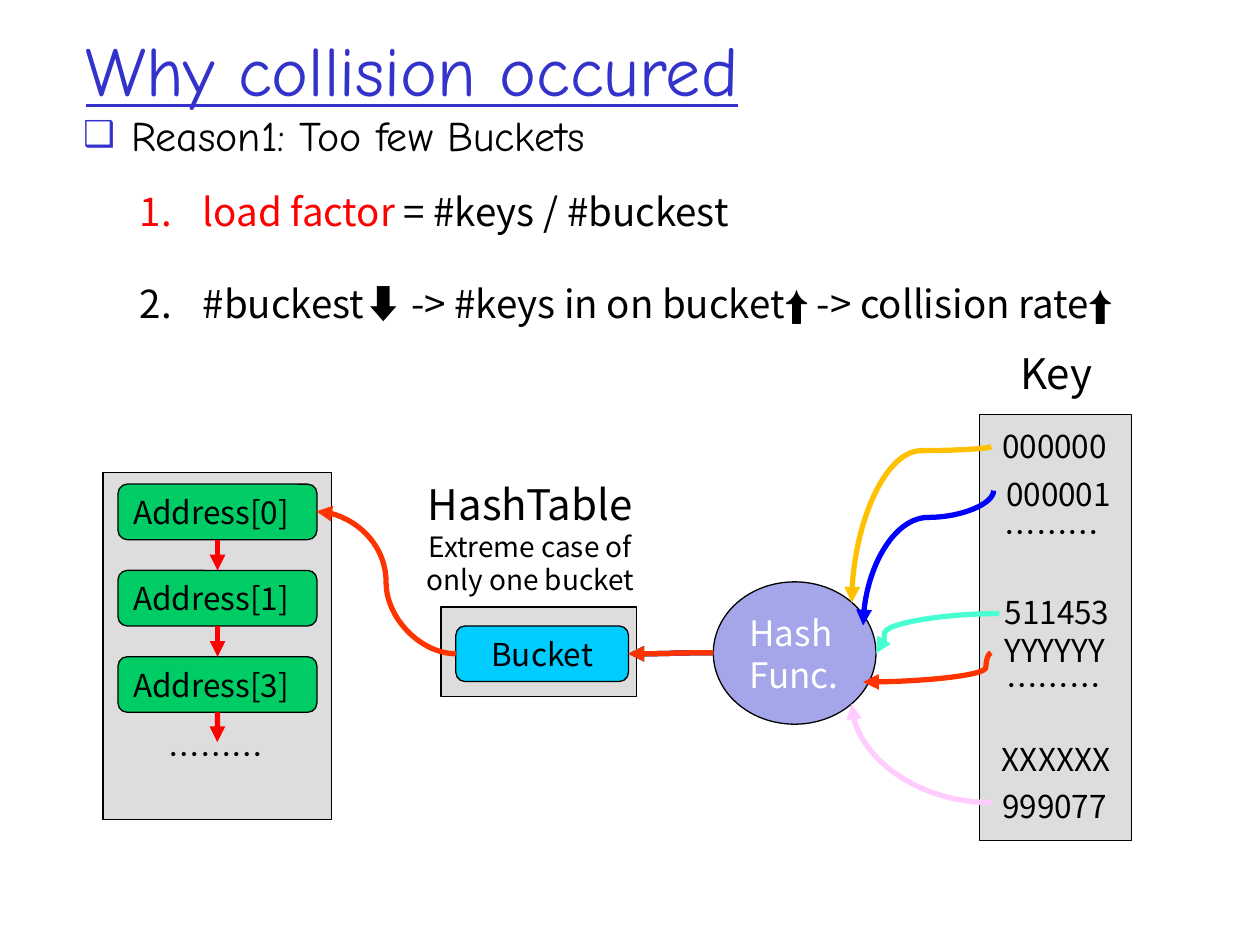
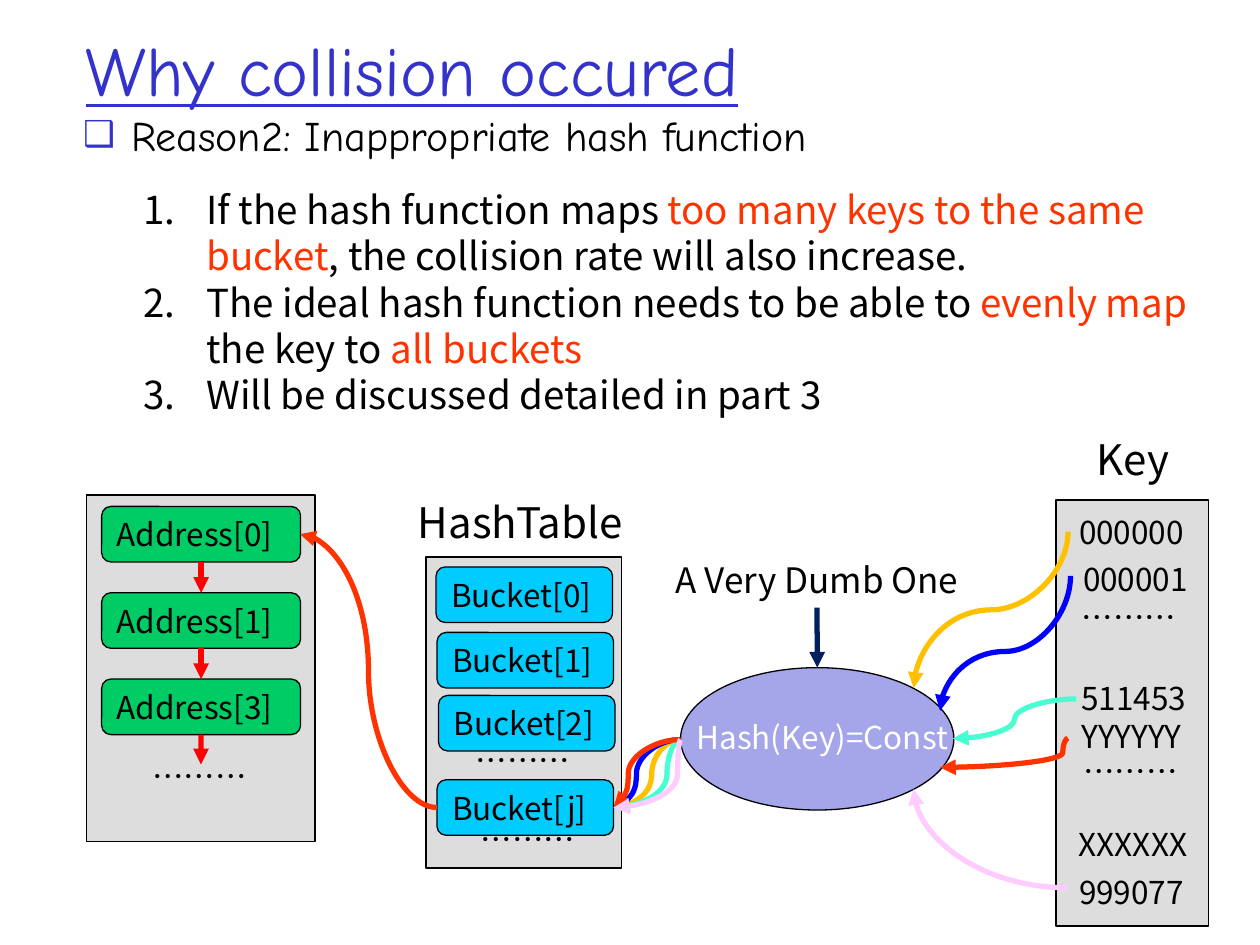
from lxml.etree import SubElement
from pptx import Presentation
from pptx.dml.color import RGBColor
from pptx.enum.shapes import MSO_CONNECTOR, MSO_SHAPE
from pptx.enum.text import MSO_ANCHOR, MSO_AUTO_SIZE, PP_ALIGN
from pptx.oxml.ns import qn
from pptx.util import Cm, Pt

# Shared fonts and colours
TITLE_FONT = "Comic Neue"
TEXT_FONT = "Noto Sans CJK JP"
TITLE_BLUE = "3333CC"
BLACK = "000000"
WHITE = "FFFFFF"
PANEL_GREY = "DDDDDD"
BUCKET_BLUE = "00CCFF"
ADDRESS_GREEN = "00CC66"
HASH_PURPLE = "A5A5E9"
RED = "FF0000"
NAVY = "002060"
YELLOW, PINK, CYAN, BLUE, ORANGE = "FFC000", "FFCCFF", "47FFD1", "0000FF", "FF3300"
LABEL_WIDTH = 5.74
LABEL_HEIGHT = 1.02


def add_text(slide, text, box, shape_type=None, holder=None, fill=None, size=18,
             color=BLACK, font=TEXT_FONT, align=PP_ALIGN.CENTER, underline=None,
             bullet=None, gap=0, anchor=MSO_ANCHOR.TOP):
    """Text is a string, or a list of paragraphs made of (text, format) runs."""
    left, top, width, height = [Cm(value) for value in box]
    if holder is not None:
        shape = holder
        shape.left, shape.top, shape.width, shape.height = left, top, width, height
    elif shape_type is not None:
        shape = slide.shapes.add_shape(shape_type, left, top, width, height)
        shape.shadow.inherit = False
        shape.fill.solid()
        shape.fill.fore_color.rgb = RGBColor.from_string(fill)
        shape.line.color.rgb = RGBColor.from_string(BLACK)
        shape.line.width = Pt(0.75)
        anchor = MSO_ANCHOR.MIDDLE
    else:
        shape = slide.shapes.add_textbox(left, top, width, height)
    if not text:
        return shape

    frame = shape.text_frame
    frame.word_wrap = True
    frame.auto_size = MSO_AUTO_SIZE.NONE
    frame.vertical_anchor = anchor
    paragraphs = [[(text, {})]] if isinstance(text, str) else text
    for index, runs in enumerate(paragraphs):
        paragraph = frame.add_paragraph() if index else frame.paragraphs[0]
        paragraph.alignment = align
        paragraph.space_before = Pt(gap if index else 0)
        if bullet:
            properties = paragraph._p.get_or_add_pPr()
            indent = Cm(1.27 if bullet == "number" else 0.97)
            properties.set("marL", str(indent))
            properties.set("indent", str(-indent))
            if bullet == "number":
                SubElement(properties, qn("a:buFont"), typeface="+mj-lt")
                SubElement(properties, qn("a:buAutoNum"), type="arabicPeriod")
            else:
                bullet_color = SubElement(properties, qn("a:buClr"))
                SubElement(bullet_color, qn("a:srgbClr"), val=TITLE_BLUE)
                SubElement(properties, qn("a:buSzPct"), val="85000")
                SubElement(properties, qn("a:buChar"), char=bullet)
        for run_text, style in runs:
            run = paragraph.add_run()
            run.text = run_text
            run.font.size = Pt(style.get("size", size))
            run.font.name = style.get("font", font)
            run.font.color.rgb = RGBColor.from_string(style.get("color", color))
            run.font.underline = underline
    return shape


def add_arrow(slide, color, start, end, bend=None, corner=False, vertical=False):
    """Straight arrow; bend (percent) or corner makes it curved, vertical turns it."""
    (x1, y1), (x2, y2) = start, end
    if vertical:
        # A quarter turn swaps the two sides around the same centre
        center_x, center_y = (x1 + x2) / 2, (y1 + y2) / 2
        half_width, half_height = (y2 - y1) / 2, (x1 - x2) / 2
        x1, x2 = center_x - half_width, center_x + half_width
        y1, y2 = center_y - half_height, center_y + half_height
    curved = corner or bend is not None
    kind = MSO_CONNECTOR.CURVE if curved else MSO_CONNECTOR.STRAIGHT
    arrow = slide.shapes.add_connector(kind, Cm(x1), Cm(y1), Cm(x2), Cm(y2))
    arrow.line.color.rgb = RGBColor.from_string(color)
    arrow.line.width = Pt(3)
    properties = arrow._element.spPr
    geometry = properties.find(qn("a:prstGeom"))
    if vertical:
        properties.find(qn("a:xfrm")).set("rot", "5400000")
    if corner:
        geometry.set("prst", "curvedConnector2")
    elif curved:
        SubElement(geometry.find(qn("a:avLst")), qn("a:gd"),
                   name="adj1", fmla=f"val {round(bend * 1000)}")
    SubElement(properties.find(qn("a:ln")), qn("a:tailEnd"), type="triangle")
    SubElement(properties, qn("a:effectLst"))
    return arrow


presentation = Presentation()
presentation.slide_width = Cm(25.4)
presentation.slide_height = Cm(19.05)

# What differs between the two slides
pages = [
    {
        "reason": "Reason1: Too few Buckets",
        "list_box": (2.57, 3.66, 22.6, 4.11),
        "list_gap": 26.5,
        "points": [
            [("load factor ", {"color": RED}), ("= #keys / #buckest", {})],
            [("#buckest⬇️ -> #keys in on bucket", {}), ("⬆️", {"font": "Arial"}),
             (" -> collision rate", {}), ("⬆️", {"font": "Arial"})],
        ],
        "chain": (2.08, 9.53),
        "keys": (19.74, 8.36),
        "hash_box": (14.38, 11.73, 3.28, 2.87),
        "hash_text": "Hash Func.",
        "reach": -2.57,
        "bends": (2.7, 93.2, 19.9),
    },
    {
        "reason": "Reason2: Inappropriate hash function",
        "list_box": (2.64, 3.63, 21.59, 4.95),
        "list_gap": 0,
        "points": [
            [("If the hash function maps ", {}),
             ("too many keys to the same bucket", {"color": ORANGE}),
             (", the collision rate will also increase.", {})],
            [("The ideal hash function needs to be able to ", {}),
             ("evenly map ", {"color": ORANGE}), ("the key to ", {}),
             ("all buckets", {"color": ORANGE})],
            [("Will be discussed detailed in part 3", {})],
        ],
        "chain": (1.75, 9.98),
        "keys": (21.29, 10.08),
        "hash_box": (13.72, 13.46, 5.51, 2.87),
        "hash_text": "",
        "reach": -2.87,
        "bends": (50, 50, 56),
    },
]

# Key labels: text, offset from the key panel, size
key_labels = [
    ("Key", -1.32, -1.47, 24), ("000000", -1.35, 0.13, 18),
    ("000001", -1.27, 1.09, 18), ("………", -1.4, 1.85, 18),
    ("511453", -1.3, 3.48, 18), ("YYYYYY", -1.35, 4.24, 18),
    ("………", -1.37, 4.95, 18), ("XXXXXX", -1.32, 6.43, 18),
    ("999077", -1.35, 7.39, 18),
]

slides = []
hash_ovals = []
for page in pages:
    slide = presentation.slides.add_slide(presentation.slide_layouts[1])
    slides.append(slide)

    # Title, reason and numbered points
    add_text(slide, "Why collision occured", (1.47, 0.64, 21.59, 1.5),
             holder=slide.shapes.title, size=40, color=TITLE_BLUE, font=TITLE_FONT,
             align=PP_ALIGN.LEFT, underline=True, anchor=MSO_ANCHOR.MIDDLE)
    add_text(slide, page["reason"], (1.42, 2.08, 23.88, 1.5),
             holder=slide.placeholders[1], size=24, font=TITLE_FONT,
             align=PP_ALIGN.LEFT, bullet="❑")
    add_text(slide, page["points"], page["list_box"], size=22, align=PP_ALIGN.LEFT,
             bullet="number", gap=page["list_gap"])

    # Chain of addresses
    left, top = page["chain"]
    add_text(slide, "", (left, top, 4.6, 6.99), MSO_SHAPE.RECTANGLE, fill=PANEL_GREY)
    nodes = [add_text(slide, f"Address[{number}]",
                      (left + 0.3, top + 0.23 + 1.74 * row, 4.01, 1.12),
                      MSO_SHAPE.ROUNDED_RECTANGLE, fill=ADDRESS_GREEN,
                      align=PP_ALIGN.LEFT)
             for row, number in enumerate((0, 1, 3))]
    for row, node in enumerate(nodes):
        middle, bottom = left + 2.3, top + 1.35 + 1.74 * row
        arrow = add_arrow(slide, RED, (middle, bottom), (middle, bottom + 0.6))
        arrow.begin_connect(node, 2)
        if row + 1 < len(nodes):
            arrow.end_connect(nodes[row + 1], 0)
    add_text(slide, "………", (left - 0.6, top + 5.16, LABEL_WIDTH, LABEL_HEIGHT))

    # Key panel
    left, top = page["keys"]
    add_text(slide, "", (left, top, 3.07, 8.59), MSO_SHAPE.RECTANGLE, fill=PANEL_GREY)
    for label, across, down, size in key_labels:
        add_text(slide, label, (left + across, top + down, LABEL_WIDTH, LABEL_HEIGHT),
                 size=size)

    # Hash function and the curves from the keys
    hash_ovals.append(add_text(slide, page["hash_text"], page["hash_box"],
                               MSO_SHAPE.OVAL, fill=HASH_PURPLE, size=20,
                               color=WHITE, align=PP_ALIGN.LEFT))
    reach = page["reach"]
    yellow_bend, cyan_bend, blue_bend = page["bends"]
    for color, start, end, curve in [
        (YELLOW, (0.24, 0.64), (reach, 3.79), {"bend": yellow_bend, "vertical": True}),
        (PINK, (0.24, 7.82), (reach, 5.83), {"corner": True}),
        (CYAN, (0.41, 4.01), (-2.08, 4.81), {"bend": cyan_bend}),
        (BLUE, (0.29, 1.53), (-2.34, 4.25), {"bend": blue_bend, "vertical": True}),
        (ORANGE, (0.24, 4.8), (-2.34, 5.39), {"bend": 4.1}),
    ]:
        add_arrow(slide, color, (left + start[0], top + start[1]),
                  (left + end[0], top + end[1]), **curve)

few_buckets, bad_function = slides

# Slide 1: hash table with a single bucket
add_text(few_buckets, "", (8.89, 12.24, 3.94, 1.8), MSO_SHAPE.RECTANGLE, fill=PANEL_GREY)
add_text(few_buckets,
         [[("HashTable", {"size": 24})], [("Extreme case of only one bucket", {})]],
         (7.82, 9.53, LABEL_WIDTH, 2.64), size=16)
add_text(few_buckets, "Bucket", (9.19, 12.62, 3.48, 1.12),
         MSO_SHAPE.ROUNDED_RECTANGLE, fill=BUCKET_BLUE)
for color in (PINK, CYAN, YELLOW, BLUE, ORANGE):
    add_arrow(few_buckets, color, (14.38, 13.16), (12.67, 13.18), bend=50)
add_arrow(few_buckets, ORANGE, (9.19, 13.18), (6.38, 10.31), bend=50)

# Slide 2: hash table where every key lands in one bucket
add_text(bad_function, "", (8.59, 11.23, 3.94, 6.27), MSO_SHAPE.RECTANGLE, fill=PANEL_GREY)
add_text(bad_function, "HashTable", (7.62, 9.88, LABEL_WIDTH, 1.27), size=24)
add_text(bad_function, "………", (7.67, 14.81, LABEL_WIDTH, LABEL_HEIGHT))
for index, left, top in [("0", 8.79, 11.43), ("1", 8.81, 12.75),
                         ("2", 8.84, 14.02), ("j", 8.81, 15.72)]:
    add_text(bad_function, f"Bucket[{index}]", (left, top, 3.56, 1.12),
             MSO_SHAPE.ROUNDED_RECTANGLE, fill=BUCKET_BLUE, align=PP_ALIGN.LEFT)
add_text(bad_function, "………", (7.77, 16.41, LABEL_WIDTH, LABEL_HEIGHT))
for color, bend in [(YELLOW, 43), (BLUE, 65.8), (CYAN, 20.2), (ORANGE, 78.1), (PINK, 4.4)]:
    add_arrow(bad_function, color, (13.72, 14.91), (12.37, 16.28), bend=bend)
add_arrow(bad_function, ORANGE, (8.81, 16.28), (6.05, 10.77), bend=50)

# Slide 2: constant hash function and its remark
add_text(bad_function, "Hash(Key)=Const", (13.79, 14.35, 6.05, LABEL_HEIGHT),
         color=WHITE, align=PP_ALIGN.LEFT)
remark = add_text(bad_function, "A Very Dumb One", (12.57, 11.13, 7.8, 1.12), size=20)
arrow = add_arrow(bad_function, NAVY, (16.47, 12.25), (16.47, 13.46))
arrow.begin_connect(remark, 2)
arrow.end_connect(hash_ovals[1], 0)

presentation.save("out.pptx")
